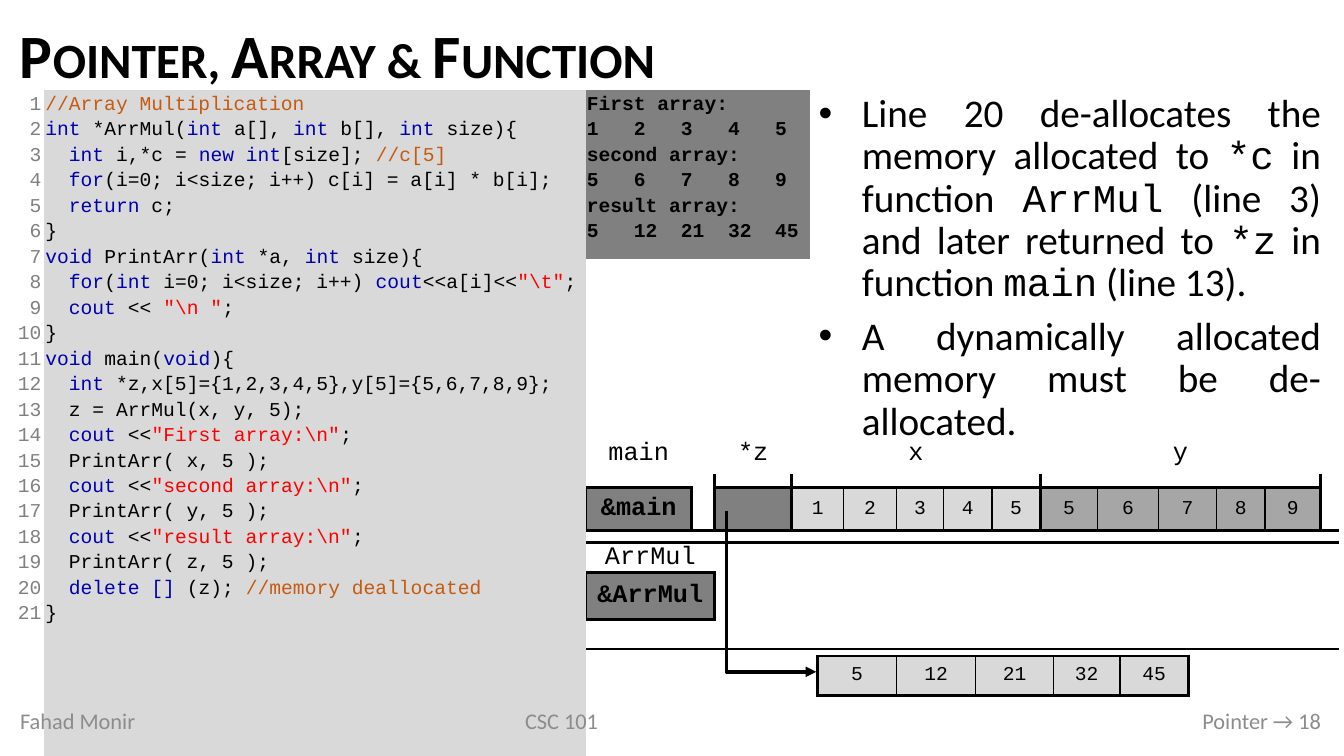
from lxml import etree
from pptx import Presentation
from pptx.dml.color import RGBColor
from pptx.enum.shapes import MSO_CONNECTOR
from pptx.enum.text import MSO_ANCHOR, PP_ALIGN
from pptx.oxml.ns import qn
from pptx.util import Pt

PX = 9144
LEFT, CENTER, RIGHT, JUSTIFY = PP_ALIGN.LEFT, PP_ALIGN.CENTER, PP_ALIGN.RIGHT, PP_ALIGN.JUSTIFY
TOP, MIDDLE = MSO_ANCHOR.TOP, MSO_ANCHOR.MIDDLE
ELBOW = MSO_CONNECTOR.ELBOW
SANS, MONO = "Calibri", "Courier New"
BLACK, DARK, MID, LIGHT = "000000", "808080", "A6A6A6", "D9D9D9"
KEYWORD, COMMENT, STRING, FOOTER = "0000B0", "C55A11", "FF0000", "8C8C8C"
NO_GRID = "{2D5ABB26-0587-4C30-8999-92F81FD0307C}"

CODE = r"""@//Array Multiplication@
@int@ *ArrMul(@int@ a[], @int@ b[], @int@ size){
  @int @i,*c = @new int@[size]; @//c[5]@
  @for@(i=0; i<size; i++) c[i] = a[i] * b[i];
  @return@ c;
}
@void @PrintArr(@int@ *a, @int@ size){
  @for@(@int @i=0; i<size; i++) @cout@<<a[i]<<@"\t"@;
  @cout @<< @"\n "@;
}
@void@ main(@void@){
  @int@ *z,x[5]={1,2,3,4,5},y[5]={5,6,7,8,9};
  z = ArrMul(x, y, 5);
  @cout @<<@"First array:\n"@;
  PrintArr( x, 5 );
  @cout @<<@"second array:\n"@;
  PrintArr( y, 5 );
  @cout @<<@"result array:\n"@;
  PrintArr( z, 5 );
  @delete []@ (z); @//memory deallocated@
}""".split("\n")
OUTPUT = ["First array:", "1   2   3   4   5", "second array:",
          "5   6   7   8   9", "result array:", "5   12  21  32  45"]
NOTES = ["Line 20 de-allocates the memory allocated to @*c@ in function @ArrMul@ (line 3) "
         "and later returned to @*z@ in function @main@ (line 13).",
         "A dynamically allocated memory must be de-allocated."]


def rgb(value):
    """Turn a hex string into a colour."""
    return RGBColor.from_string(value)


def add_span(para, text, size, color=BLACK, font=SANS, bold=False):
    """Append one formatted run and return it."""
    span = para.add_run()
    span.text = text
    span.font.size, span.font.name, span.font.bold = Pt(size), font, bold
    span.font.color.rgb = rgb(color)
    return span


def marked_parts(text):
    """List the non-empty parts of a text with whether @ marks enclose them."""
    return [(part, index % 2 == 1) for index, part in enumerate(text.split("@")) if part]


def add_para(frame, index, align=LEFT, spacing=None):
    """Return the first paragraph of a frame or a new one."""
    para = frame.add_paragraph() if index else frame.paragraphs[0]
    para.alignment = align
    para.line_spacing = spacing
    return para


def add_box(page, box, anchor=TOP):
    """Add a wrapping text box and return its frame."""
    frame = page.shapes.add_textbox(*(value * PX for value in box)).text_frame
    frame.word_wrap = True
    frame.vertical_anchor = anchor
    return frame


def add_title(page, box):
    """Place the small-caps heading."""
    para = add_para(add_box(page, box, MIDDLE), 0, spacing=0.9)
    span = add_span(para, "Pointer, Array & Function", 44, bold=True)
    span.font._element.set("cap", "small")


def add_notes(page, box):
    """Place the justified bullet list."""
    frame = add_box(page, box)
    for index, note in enumerate(NOTES):
        para = add_para(frame, index, JUSTIFY, 0.9)
        para.space_before = para.space_after = Pt(4)
        properties = para._p.get_or_add_pPr()
        properties.set("marL", str(43 * PX))
        properties.set("indent", str(-43 * PX))
        etree.SubElement(properties, qn("a:buFont"), typeface="Arial")
        etree.SubElement(properties, qn("a:buChar"), char="•")
        for part, marked in marked_parts(note):
            add_span(para, part, 28, font=MONO if marked else SANS)


def add_plain_table(page, box, columns, rows):
    """Add a table without style, banding or cell margins."""
    table = page.shapes.add_table(len(rows), len(columns), *(value * PX for value in box)).table
    table.first_row = table.horz_banding = False
    table._tbl.tblPr.find(qn("a:tableStyleId")).text = NO_GRID
    for column, width in zip(table.columns, columns):
        column.width = width * PX
    for row, height in zip(table.rows, rows):
        row.height = height * PX
    for cell in table.iter_cells():
        cell.margin_left = cell.margin_right = cell.margin_top = cell.margin_bottom = 0
    return table


def set_borders(cell, sides):
    """Draw the named sides, upper case thick and lower case thin, and clear the others."""
    properties = cell._tc.get_or_add_tcPr()
    for side in "LRTB" if sides else "":
        width = Pt(2.25 if side in sides else 1)
        line = etree.SubElement(properties, qn(f"a:ln{side}"), w=str(width))
        if side in sides.upper():
            fill = etree.SubElement(line, qn("a:solidFill"))
            etree.SubElement(fill, qn("a:srgbClr"), val=BLACK)
        else:
            etree.SubElement(line, qn("a:noFill"))


def set_fill(cell, color):
    """Fill a cell or leave it clear."""
    if color:
        cell.fill.solid()
        cell.fill.fore_color.rgb = rgb(color)
    else:
        cell.fill.background()


def shrink_empty(table):
    """Keep empty cells from stretching their rows."""
    for cell in table.iter_cells():
        if not cell.text_frame.text:
            etree.SubElement(cell.text_frame.paragraphs[0]._p, qn("a:endParaRPr"), sz="100")


def array_cells(start, values, spans, color):
    """Describe the cells of one array with a thick outline."""
    cells = []
    last = len(values) - 1
    for index, (value, span) in enumerate(zip(values, spans)):
        sides = "TB" + ("l" if index else "L") + ("R" if index == last else "r")
        cells.append((start, span, str(value), color, sides))
        start += span
    return cells


def add_memory(page, box):
    """Place the memory map of both functions and the pointer arrow."""
    columns = [105, 23, 23, 53, 26, 26, 52, 47, 32, 16, 48, 13, 44, 22, 13, 25, 30, 28, 48, 55, 18]
    heights = [40, 14, 42, 12, 30, 47, 29, 7, 39]
    groups = [(2, 2), (4, 7), (11, 9)]
    gaps = [(start, span, "", None, "")
            for start, span in [(5, 2), (7, 2), (9, 3), (12, 3), (15, 6)]]
    rows = [
        [(0, 1, "main", None, "")]
        + [(*group, name, None, "") for group, name in zip(groups, ["*z", "x", "y"])],
        [(0, 1, "", None, "B"), (1, 1, "", None, "R")]
        + [(*group, "", None, "LRB") for group in groups] + [(20, 1, "", None, "L")],
        [(0, 1, "&main", DARK, "LRTB"), (1, 1, "", None, "LRB"), (2, 2, "", DARK, "LRTB")]
        + array_cells(4, range(1, 6), [2, 1, 1, 2, 1], LIGHT)
        + array_cells(11, range(5, 10), [2, 3, 2, 1, 1], MID) + [(20, 1, "", None, "LB")],
        [(0, 21, "", None, "TB")],
        [(0, 2, "ArrMul", None, "TB"), (3, 18, "", None, "")],
        [(0, 2, "&ArrMul", DARK, "LRTB"), (2, 1, "", None, "L"), (3, 2, "", None, "")] + gaps,
        [(0, 2, "", None, "TB"), (2, 3, "", None, "")] + gaps,
        [(0, 21, "", None, "T")],
        [(0, 2, "", None, ""), (3, 2, "", None, "R")]
        + array_cells(5, [5, 12, 21, 32, 45], [2, 2, 3, 2, 3], LIGHT)
        + [(17, 4, "", None, "L")],
    ]
    table = add_plain_table(page, box, columns, heights)
    for row, cells in enumerate(rows):
        for start, span, text, color, sides in cells:
            cell = table.cell(row, start)
            if span > 1:
                cell.merge(table.cell(row, start + span - 1))
            set_borders(cell, sides)
            set_fill(cell, color)
            if text:
                cell.margin_left = cell.margin_right = 7 * PX
                cell.vertical_anchor = MIDDLE
                add_span(add_para(cell.text_frame, 0, CENTER), text,
                         14 if text.isdigit() else 18, font=MONO, bold=text.startswith("&"))
    shrink_empty(table)
    add_pointer(page, (box[0] + 140, box[1] + 77, 89, 160))


def add_pointer(page, box):
    """Draw an arrow down the left and along the bottom of a box."""
    left, top, width, height = box
    start = left + (width + height) // 2
    upper = top + (height - width) // 2
    points = (start, upper, start - height, upper + width)
    arrow = page.shapes.add_connector(ELBOW, *(value * PX for value in points))
    arrow.line.color.rgb = rgb(BLACK)
    arrow.line.width = Pt(2.5)
    etree.SubElement(arrow.line._get_or_add_ln(), qn("a:tailEnd"), type="triangle")
    properties = arrow._element.spPr
    etree.SubElement(properties, qn("a:effectLst"))
    properties.find(qn("a:xfrm")).set("rot", "16200000")
    guides = properties.find(qn("a:prstGeom")).find(qn("a:avLst"))
    etree.SubElement(guides, qn("a:gd"), name="adj1", fmla="val 100000")


def add_listing(page, box):
    """Place the line numbers, the program and its output."""
    table = add_plain_table(page, box, [40, 537, 222], [168, 397])
    for column, color in enumerate([None, LIGHT, DARK]):
        cell = table.cell(0, column)
        if column < 2:
            cell.merge(table.cell(1, column))
        cell.margin_left = cell.margin_right = cell.margin_top = cell.margin_bottom = PX
        set_fill(cell, color)
    numbers, code, output = (table.cell(0, column) for column in range(3))
    numbers.margin_left, numbers.margin_right = 2 * PX, 3 * PX
    para = add_para(numbers.text_frame, 0, RIGHT, 1.15)
    for number in range(1, len(CODE) + 1):
        if number > 1:
            para.add_line_break()
        add_span(para, str(number), 14, DARK, MONO)
    for index, line in enumerate(CODE):
        para = add_para(code.text_frame, index, spacing=1.15)
        for part, marked in marked_parts(line):
            accent = {"/": COMMENT, '"': STRING}.get(part[0], KEYWORD)
            add_span(para, part, 14, accent if marked else BLACK, MONO)
    for index, line in enumerate(OUTPUT):
        add_span(add_para(output.text_frame, index, spacing=1.15), line, 14, font=MONO, bold=True)
    shrink_empty(table)


def add_footer(page, box):
    """Place author, course and page number along the bottom."""
    left, top, width, height = box
    for offset, span, align, text in [(0, 241, LEFT, "Fahad Monir"), (379, 336, CENTER, "CSC 101"),
                                      (width - 549, 549, RIGHT, "Pointer → 18")]:
        frame = add_box(page, (left + offset, top, span, height), MIDDLE)
        add_span(add_para(frame, 0, align), text, 16, FOOTER)


def main():
    """Build the slide and save it."""
    deck = Presentation()
    deck.slide_width, deck.slide_height = 1333 * PX, 750 * PX
    page = deck.slides.add_slide(deck.slide_layouts[6])
    add_title(page, (10, 11, 1310, 95))
    add_notes(page, (802, 88, 518, 382))
    add_memory(page, (581, 430, 745, 260))
    add_listing(page, (4, 89, 799, 565))
    add_footer(page, (10, 695, 1310, 40))
    deck.save("out.pptx")


if __name__ == "__main__":
    main()
